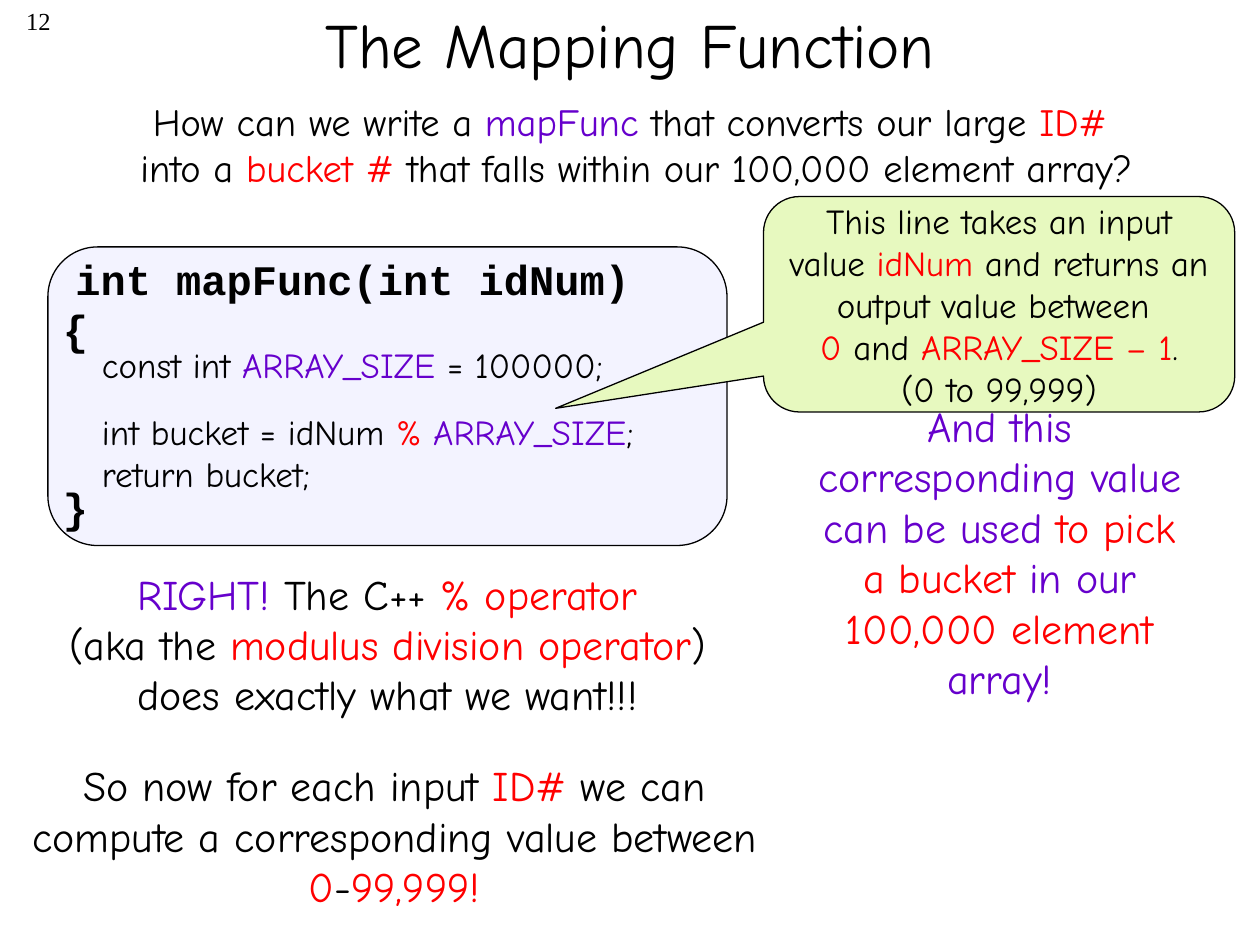
from dataclasses import dataclass

from pptx import Presentation
from pptx.dml.color import RGBColor
from pptx.enum.shapes import MSO_SHAPE
from pptx.enum.text import MSO_ANCHOR, MSO_AUTO_SIZE, PP_ALIGN
from pptx.util import Inches, Pt

LEFT, CENTER, RIGHT = PP_ALIGN.LEFT, PP_ALIGN.CENTER, PP_ALIGN.RIGHT
MIDDLE, TOP = MSO_ANCHOR.MIDDLE, MSO_ANCHOR.TOP
PANEL, CALLOUT = MSO_SHAPE.ROUNDED_RECTANGLE, MSO_SHAPE.ROUNDED_RECTANGULAR_CALLOUT


@dataclass(frozen=True)
class Theme:
    """Colours, fonts and type sizes of the slide."""
    ink: str = "000000"
    purple: str = "6600CC"
    red: str = "FF0000"
    panel: str = "F3F3FF"
    callout: str = "E7F9BF"
    hand: str = "Comic Neue"
    mono: str = "Courier New"
    serif: str = "Times New Roman"
    title: int = 36
    large: int = 24
    intro: int = 22
    code: int = 20
    number: int = 14


THEME = Theme()
INK, PURPLE, RED = THEME.ink, THEME.purple, THEME.red


def add_span(para, text, color, style):
    """Add one coloured span, turning newlines into line breaks."""
    for index, part in enumerate(text.split("\n")):
        if index:
            para.add_line_break()
        if part:
            span = para.add_run()
            span.text = part
            for name, value in style.items():
                setattr(span.font, name, value)
            span.font.color.rgb = RGBColor.from_string(color)


def write(shape, paragraphs, size, font=THEME.hand, align=CENTER, anchor=TOP,
          bold=False, indents=(), gaps=()):
    """Fill a shape with paragraphs made of (text, colour) spans."""
    frame = shape.text_frame
    layout = {"word_wrap": True, "auto_size": MSO_AUTO_SIZE.NONE, "vertical_anchor": anchor}
    for name, value in layout.items():
        setattr(frame, name, value)
    style = {"name": font, "size": Pt(size), "bold": bold}
    for index, spans in enumerate(paragraphs):
        para = frame.paragraphs[0] if index == 0 else frame.add_paragraph()
        para.alignment = align
        para.space_before = Pt(gaps[index] if gaps else 0)
        if indents:
            para._p.get_or_add_pPr().set("marL", str(Inches(indents[index])))
        for text, color in spans:
            add_span(para, text, color, style)


def add_text(page, area, paragraphs, size, **options):
    """Add a text box; area is left, top, width and height in inches."""
    box = page.shapes.add_textbox(*map(Inches, area))
    write(box, paragraphs, size, **options)


def add_outlined(page, kind, area, fill):
    """Add a filled shape with a thin outline."""
    shape = page.shapes.add_shape(kind, *map(Inches, area))
    shape.shadow.inherit = False
    shape.fill.solid()
    shape.fill.fore_color.rgb = RGBColor.from_string(fill)
    shape.line.color.rgb = RGBColor.from_string(INK)
    shape.line.width = Pt(0.75)
    return shape


def add_title(page, area, text):
    """Place and format the title placeholder."""
    title = page.shapes.title
    for name, value in zip(("left", "top", "width", "height"), area):
        setattr(title, name, Inches(value))
    write(title, [[(text, INK)]], THEME.title, anchor=MIDDLE)


def add_code(page):
    """Add the panel with the mapping function."""
    add_outlined(page, PANEL, (0.38, 1.96, 5.39, 2.37), THEME.panel)
    add_text(page, (-1.1, 1.96, 9.43, 2.32),
             [[("int mapFunc(int idNum)", INK)], [("{", INK)], [("}", INK)]],
             THEME.large, font=THEME.mono, align=LEFT, bold=True,
             indents=(1.6, 1.5, 1.5), gaps=(0, 0, 73))
    add_text(page, (0.71, 2.68, 5.71, 1.31), [
        [("const int ", INK), ("ARRAY_SIZE", PURPLE), (" = 100000;", INK)],
        [("int bucket = idNum ", INK), ("% ", RED), ("ARRAY_SIZE", PURPLE), (";", INK)],
        [("return bucket;", INK)],
    ], THEME.code, align=LEFT, gaps=(0, 14, 0))


def add_callout(page):
    """Add the callout that explains the modulus line."""
    callout = add_outlined(page, CALLOUT, (6.06, 1.56, 3.74, 1.71), THEME.callout)
    for index, value in enumerate((-0.941, 0.483, 0.167)):
        callout.adjustments[index] = value
    write(callout, [
        [("This line takes an input value ", INK), ("idNum", RED),
         (" and returns an output value between \n", INK), ("0 ", RED),
         ("and ", INK), ("ARRAY_SIZE – 1", RED), (".", INK)],
        [("(0 to 99,999)", INK)],
    ], THEME.code, anchor=MIDDLE)


def add_explanations(page):
    """Add the question and the remarks around the code."""
    add_text(page, (0.29, 0.73, 9.52, 0.84), [[
        ("How can we write a ", INK), ("mapFunc ", PURPLE),
        ("that converts our large ", INK), ("ID# \n", RED), ("into a ", INK),
        ("bucket # ", RED), ("that falls within our 100,000 element array?", INK),
    ]], THEME.intro)
    add_text(page, (-0.53, 4.46, 7.32, 1.31), [[
        ("RIGHT! ", PURPLE), ("The C++ ", INK), ("% operator \n", RED),
        ("(aka the ", INK), ("modulus division operator", RED),
        (") \ndoes exactly what we want!!! ", INK),
    ]], THEME.large)
    add_text(page, (0.07, 5.98, 6.12, 1.31), [[
        ("So now for each input ", INK), ("ID#", RED),
        (" we can compute a corresponding value between ", INK),
        ("0", RED), ("-", INK), ("99,999!", RED),
    ]], THEME.large)
    add_text(page, (6.35, 3.13, 3.17, 2.52), [[
        ("And this corresponding value can be used ", PURPLE),
        ("to pick a bucket", RED), (" in our ", PURPLE),
        ("100,000 element ", RED), ("array!", PURPLE),
    ]], THEME.large)


def main():
    """Build the slide and save it."""
    deck = Presentation()
    deck.slide_width, deck.slide_height = Inches(10), Inches(7.5)
    page = deck.slides.add_slide(deck.slide_layouts[5])
    add_title(page, (0.75, -0.28, 8.5, 1.25), "The Mapping Function")
    add_text(page, (-1.58, 0, 2.08, 0.5), [[("12", INK)]], THEME.number,
             font=THEME.serif, align=RIGHT)
    add_code(page)
    add_explanations(page)
    add_callout(page)
    deck.save("out.pptx")


if __name__ == "__main__":
    main()
